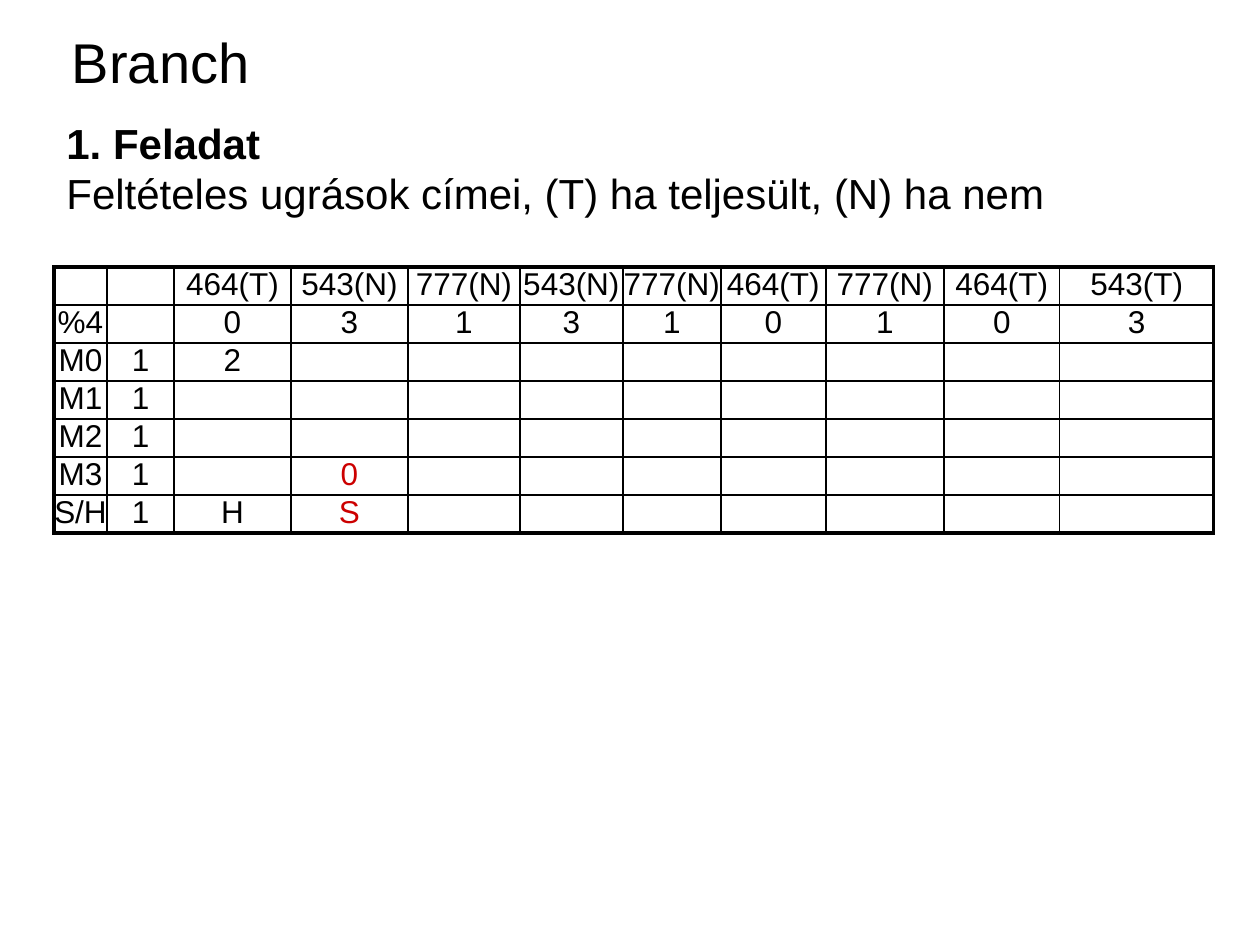
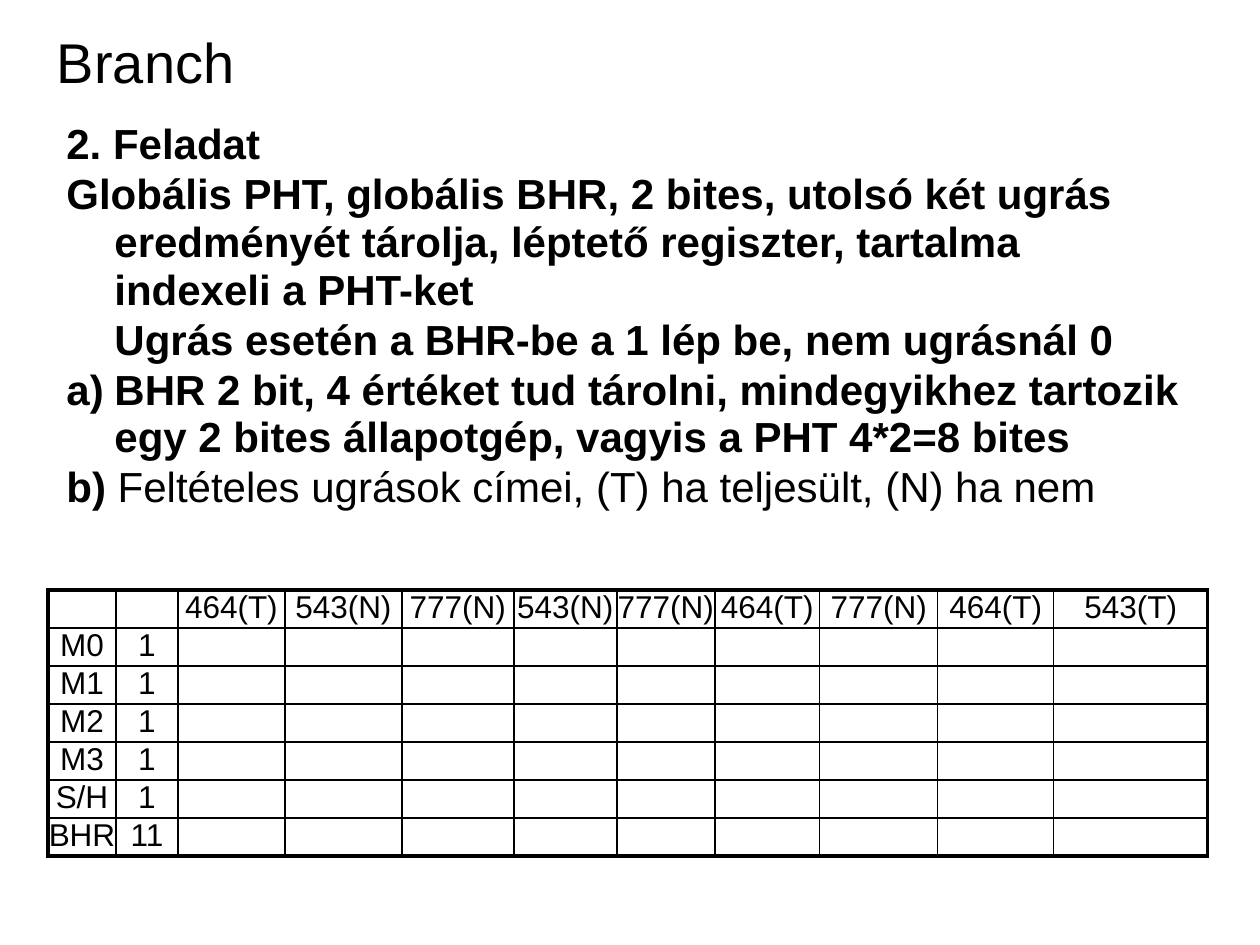
"""Build two slides of branch prediction exercises."""
from lxml import etree
from pptx import Presentation
from pptx.dml.color import RGBColor
from pptx.enum.text import MSO_ANCHOR, PP_ALIGN
from pptx.oxml.ns import qn
from pptx.util import Pt

MIDDLE = MSO_ANCHOR.MIDDLE
TOP = MSO_ANCHOR.TOP
CENTER = PP_ALIGN.CENTER
BLACK = RGBColor(0, 0, 0)
RED = RGBColor(0xCC, 0, 0)
FONT = "Arial"
SCALE = 914400 / 126
INDENT = 48
ROW = 38
THIN, THICK = 1, 2.25


def px(size):
    return round(size * SCALE)


def add_run(para, text, size, bold=False, color=BLACK):
    run = para.add_run()
    run.text = text
    run.font.name = FONT
    run.font.size = Pt(size)
    run.font.bold = bold
    run.font.color.rgb = color


JUMPS = ["464(T)", "543(N)", "777(N)", "543(N)", "777(N)",
         "464(T)", "777(N)", "464(T)", "543(T)"]
WIDTHS = [117, 112, 103, 98, 105, 118, 116, 154]
HEAD = ["", ""] + JUMPS
STATES = [["M0", "1"], ["M1", "1"], ["M2", "1"], ["M3", "1"], ["S/H", "1"]]
RULE = "Feltételes ugrások címei, (T) ha teljesült, (N) ha nem"

SLIDES = [
    {
        "shift": 15,
        "height": 486,
        "body": [
            ("hang", [("1. Feladat", True)]),
            ("hang", [(RULE, False)]),
        ],
        "at": (54, 267),
        "cols": [53, 67, 117] + WIDTHS,
        "rows": [
            HEAD,
            ["%4", "", "0", "3", "1", "3", "1", "0", "1", "0", "3"],
            STATES[0] + ["2"],
            STATES[1],
            STATES[2],
            STATES[3] + ["", "0"],
            STATES[4] + ["H", "S"],
        ],
        "red": {(5, 3), (6, 3)},
    },
    {
        "shift": 0,
        "height": 758,
        "body": [
            ("hang", [("2. Feladat", True)]),
            ("hang", [("Globális PHT, globális BHR, 2 bites, utolsó két ugrás "
                       "eredményét tárolja, léptető regiszter, tartalma "
                       "indexeli a PHT-ket", True)]),
            ("block", [("Ugrás esetén a BHR-be a 1 lép be, nem ugrásnál 0", True)]),
            ("letter", [("BHR 2 bit, 4 értéket tud tárolni, mindegyikhez tartozik "
                         "egy 2 bites állapotgép, vagyis a PHT 4*2=8 bites", True)]),
            ("hang", [("b) ", True), (RULE, False)]),
        ],
        "at": (48, 590),
        "cols": [68, 62, 107] + WIDTHS,
        "rows": [HEAD] + STATES + [["BHR", "11"]],
        "red": set(),
    },
]

deck = Presentation()
deck.slide_width = px(1260)
deck.slide_height = px(945)

for page in SLIDES:
    slide = deck.slides.add_slide(deck.slide_layouts[6])

    box = slide.shapes.add_textbox(px(44), px(27), px(725), px(68))
    frame = box.text_frame
    frame.word_wrap = True
    frame.vertical_anchor = MIDDLE
    frame.margin_left = px(13 + page["shift"])
    add_run(frame.paragraphs[0], "Branch", 32)

    box = slide.shapes.add_textbox(px(54), px(115), px(1143), px(page["height"]))
    frame = box.text_frame
    frame.word_wrap = True
    frame.vertical_anchor = TOP
    for i, (kind, runs) in enumerate(page["body"]):
        para = frame.add_paragraph() if i else frame.paragraphs[0]
        para.line_spacing = 0.95
        if i:
            para.space_before = Pt(1.2)
        props = para._p.get_or_add_pPr()
        props.set("marL", str(px(INDENT)))
        props.set("indent", str(0 if kind == "block" else -px(INDENT)))
        if kind == "letter":
            etree.SubElement(props, qn("a:buAutoNum"), type="alphaLcParenR")
        else:
            etree.SubElement(props, qn("a:buNone"))
        for text, bold in runs:
            add_run(para, text, 24, bold)

    left, top = page["at"]
    cols, rows = page["cols"], page["rows"]
    frame = slide.shapes.add_table(len(rows), len(cols), px(left), px(top),
                                   px(sum(cols)), px(ROW * len(rows)))
    table = frame.table
    table.first_row = False
    table.horz_banding = False
    for col, width in zip(table.columns, cols):
        col.width = px(width)
    for r, texts in enumerate(rows):
        table.rows[r].height = px(ROW)
        for c in range(len(cols)):
            cell = table.cell(r, c)
            cell.margin_left = cell.margin_right = 0
            cell.margin_top = cell.margin_bottom = 0
            props = cell._tc.get_or_add_tcPr()
            edges = {"L": c == 0, "R": c == len(cols) - 1,
                     "T": r == 0, "B": r == len(rows) - 1}
            for side, outer in edges.items():
                line = etree.SubElement(props, qn("a:ln" + side),
                                        w=str(Pt(THICK if outer else THIN)))
                fill = etree.SubElement(line, qn("a:solidFill"))
                etree.SubElement(fill, qn("a:srgbClr"), val=str(BLACK))
            cell.fill.background()
            if c < len(texts) and texts[c]:
                para = cell.text_frame.paragraphs[0]
                para.alignment = CENTER
                color = RED if (r, c) in page["red"] else BLACK
                add_run(para, texts[c], 18, color=color)

deck.save("out.pptx")
